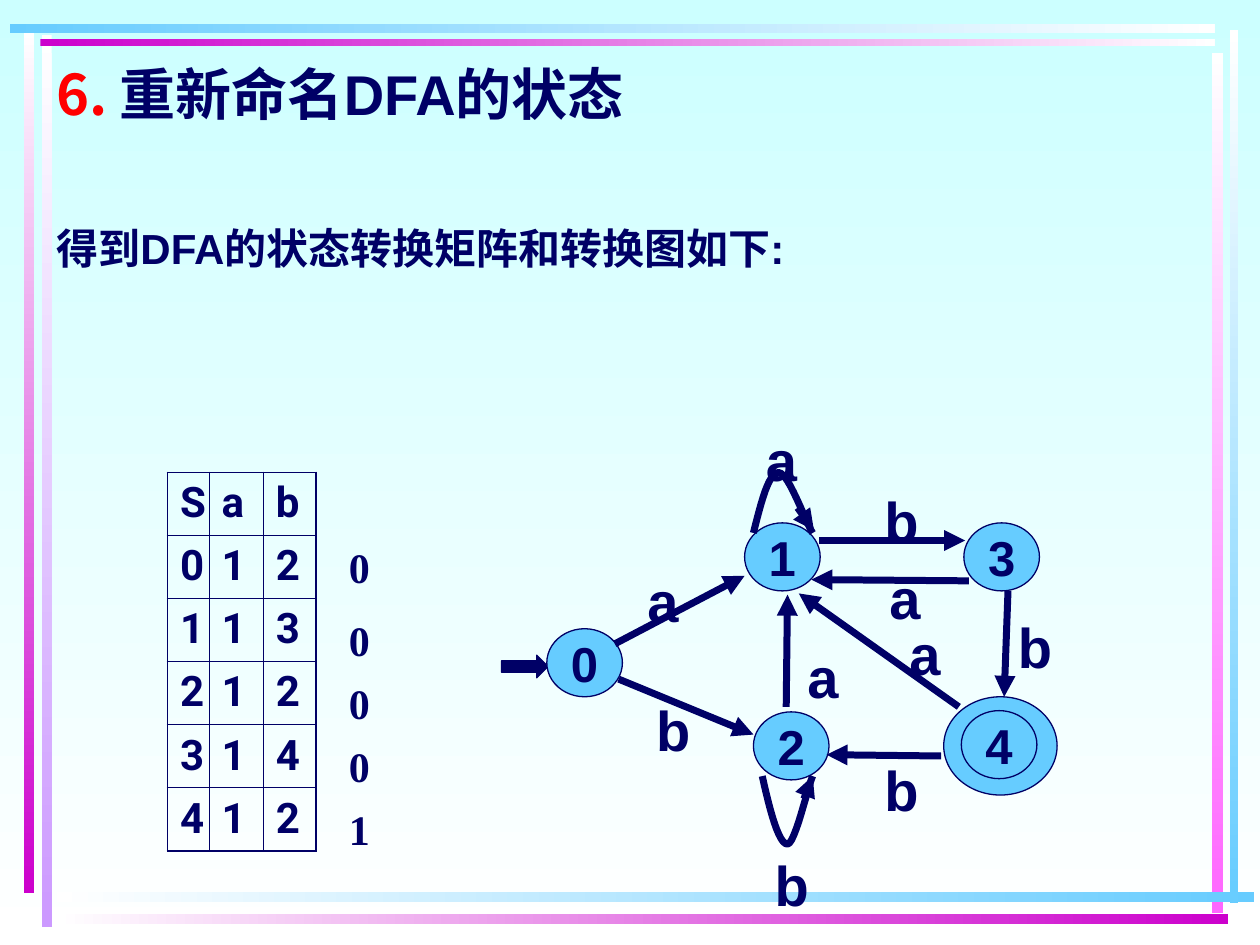
from dataclasses import dataclass

from lxml import etree
from pptx import Presentation
from pptx import util as u
from pptx.dml.color import RGBColor
from pptx.enum import shapes, text
from pptx.oxml import ns


@dataclass(frozen=True)
class Theme:
    """Hold the colours, fonts and sizes of the slide."""
    ink: str = "000066"
    sky: str = "66CCFF"
    plum: str = "CC00CC"
    lilac: str = "CC99FF"
    pink: str = "FF66FF"
    pale: str = "CCFFFF"
    white: str = "FFFFFF"
    red: str = "FF0000"
    sans: str = "Arial"
    grid: str = "Roboto"
    serif: str = "Times New Roman"
    head: int = 32
    node: int = 28
    body: int = 24
    edge: float = 4
    thin: float = 0.75
    rule: float = 0.45
    rim: float = 1.08


T = Theme()
ALIGN = text.PP_ALIGN

BARS = [
    (0.33, 0.28, 0.08, 7.08, T.white, T.lilac),
    (0.19, 0.25, 0.08, 6.84, T.white, T.plum),
    (9.76, 0.24, 0.07, 6.93, T.white, T.sky),
    (9.62, 0.42, 0.09, 6.83, T.white, T.pink),
    (0.45, 7.08, 9.5, 0.08, T.white, T.sky),
    (0.45, 7.25, 9.3, 0.08, T.white, T.plum),
    (0.32, 0.31, 9.32, 0.06, T.plum, T.white),
    (0.08, 0.19, 9.56, 0.07, T.sky, T.white),
]
ROWS = ["Sab", "012", "113", "212", "314", "412"]
FLAGS = [("0", 4.25), ("0", 4.83), ("0", 5.33), ("0", 5.83), ("1", 6.33)]
NODES = [("4", 7.63, 5.64), ("0", 4.34, 4.99), ("2", 5.98, 5.65),
         ("1", 5.91, 4.15), ("3", 7.65, 4.15)]
EDGES = [
    (4.88, 5.11, 5.91, 4.57), (4.91, 5.39, 5.98, 5.83),
    (6.5, 4.29, 7.66, 4.29), (7.69, 4.61, 6.44, 4.6),
    (7.47, 6, 6.56, 5.99), (8, 4.69, 7.97, 5.53),
    (7.61, 5.61, 6.34, 4.71), (6.24, 5.61, 6.25, 4.72),
    (6.33, 4.03, 6.46, 4.21), (6.38, 6.34, 6.45, 6.16),
]
LOOPS = [
    [(5.98, 4.23), (6.04, 3.99), (6.1, 3.75), (6.18, 3.75),
     (6.26, 3.75), (6.4, 4.16), (6.45, 4.23)],
    [(6.05, 6.16), (6.11, 6.43), (6.18, 6.7), (6.25, 6.7),
     (6.31, 6.7), (6.41, 6.25), (6.45, 6.16)],
]
MARKS = [("b", 6.92, 3.81), ("b", 7.98, 4.81), ("b", 6.92, 5.95),
         ("a", 7.12, 4.87), ("a", 6.31, 5.05), ("a", 5.04, 4.45),
         ("b", 5.11, 5.47), ("a", 5.98, 3.33), ("b", 6.05, 6.7),
         ("a", 6.96, 4.42)]


def rgb(code):
    """Turn a hex code into a colour."""
    return RGBColor.from_string(code)


def add(node, tag, **attrs):
    """Append a drawing element to an XML node."""
    return etree.SubElement(node, ns.qn(f"a:{tag}"), attrs)


def put(par, words, size=T.body, font=T.sans, align=ALIGN.LEFT, before=0):
    """Write bold text into a paragraph."""
    par.alignment = align
    if before:
        par.space_before = u.Pt(before)
    run = par.add_run()
    run.text = words
    run.font.size = u.Pt(size)
    run.font.name = font
    run.font.bold = True
    run.font.color.rgb = rgb(T.ink)


def fade(fill, first, last, angle):
    """Fill with a gradient between two colours."""
    fill.gradient()
    fill.gradient_angle = angle
    for stop, code, spot in zip(fill.gradient_stops, (first, last), (0, 1)):
        stop.color.rgb = rgb(code)
        stop.position = spot


def form(slide, kind, *box):
    """Add a preset shape without a shadow."""
    shape = slide.shapes.add_shape(kind, *map(u.Inches, box))
    shape.shadow.inherit = False
    return shape


def solid(slide, kind, *box, fill=T.sky):
    """Add a filled shape with a thin dark outline."""
    shape = form(slide, kind, *box)
    shape.fill.solid()
    shape.fill.fore_color.rgb = rgb(fill)
    shape.line.color.rgb = rgb(T.ink)
    shape.line.width = u.Pt(T.thin)
    return shape


def bar(slide, left, top, width, height, first, last):
    """Add a fading bar of the slide frame."""
    shape = form(slide, shapes.MSO_SHAPE.RECTANGLE, left, top, width, height)
    shape.line.fill.background()
    fade(shape.fill, first, last, 270 if height > width else 0)


def label(slide, *box):
    """Add a wrapping text box and return its frame."""
    frame = slide.shapes.add_textbox(*map(u.Inches, box)).text_frame
    frame.word_wrap = True
    return frame


def title(slide):
    """Add the numbered heading and the line below it."""
    frame = label(slide, 0.35, 0.42, 9.45, 1.84)
    head, lead = frame.paragraphs[0], frame.add_paragraph()
    for par in (head, lead):
        props = par._p.get_or_add_pPr()
        props.set("marL", str(u.Inches(0.5)))
        props.set("indent", str(u.Inches(-0.5)))
    props = head._p.get_or_add_pPr()
    add(add(props, "buClr"), "srgbClr", val=T.red)
    add(props, "buAutoNum", type="arabicPeriod", startAt="6")
    put(head, "重新命名DFA的状态", size=T.head)
    put(lead, "得到DFA的状态转换矩阵和转换图如下:", before=55)


def border(cell, sides):
    """Draw cell borders, thick where a side is on the rim."""
    props = cell._tc.get_or_add_tcPr()
    for at, (side, rim) in enumerate(sides.items()):
        line = etree.Element(ns.qn(f"a:ln{side}"),
                             w=str(u.Pt(T.rim if rim else T.rule)))
        add(add(line, "solidFill"), "srgbClr", val=T.ink)
        props.insert(at, line)


def matrix(slide):
    """Add the state transition table."""
    box = map(u.Inches, (1.33, 3.75, 1.18, 3))
    grid = slide.shapes.add_table(len(ROWS), 3, *box).table
    grid.first_row = grid.horz_banding = False
    for col, width in zip(grid.columns, (0.33, 0.43, 0.42)):
        col.width = u.Inches(width)
    for r, row in enumerate(ROWS):
        for c, sign in enumerate(row):
            cell = grid.cell(r, c)
            cell.fill.background()
            put(cell.text_frame.paragraphs[0], sign, font=T.grid,
                align=ALIGN.JUSTIFY if r else ALIGN.LEFT)
            border(cell, {"L": c == 0, "R": c == 2,
                          "T": r == 0, "B": r == len(ROWS) - 1})


def state(slide, name, left, top):
    """Add a round state with its number."""
    frame = solid(slide, shapes.MSO_SHAPE.OVAL, left, top, 0.6, 0.54).text_frame
    frame.word_wrap = False
    frame.vertical_anchor = text.MSO_ANCHOR.MIDDLE
    put(frame.paragraphs[0], name, size=T.node, align=ALIGN.CENTER)


def stroke(line):
    """Give a line the weight and colour of an edge."""
    line.color.rgb = rgb(T.ink)
    line.width = u.Pt(T.edge)


def arrow(slide, *ends):
    """Add a straight edge with an arrowhead."""
    link = slide.shapes.add_connector(shapes.MSO_CONNECTOR.STRAIGHT,
                                      *map(u.Inches, ends))
    stroke(link.line)
    add(link.line._get_or_add_ln(), "tailEnd", type="triangle")
    add(link._element.spPr, "effectLst")


def curve(a, b, c, d, steps=12):
    """List points along a cubic curve after its start."""
    for i in range(1, steps + 1):
        t = i / steps
        s = 1 - t
        yield tuple(u.Inches(s**3 * p + 3 * s * s * t * q + 3 * s * t * t * v + t**3 * w)
                    for p, q, v, w in zip(a, b, c, d))


def loop(slide, knots):
    """Add the open arc of an edge from a state to itself."""
    pen = slide.shapes.build_freeform(*map(u.Inches, knots[0]))
    for at in (0, 3):
        pen.add_line_segments(list(curve(*knots[at:at + 4])), close=False)
    arc = pen.convert_to_shape()
    arc.shadow.inherit = False
    arc.fill.background()
    stroke(arc.line)


def graph(slide):
    """Add the transition graph."""
    solid(slide, shapes.MSO_SHAPE.OVAL, 7.49, 5.53, 0.9, 0.78)
    solid(slide, shapes.MSO_SHAPE.RIGHT_ARROW, 3.98, 5.2, 0.37, 0.18, fill=T.ink)
    for node in NODES:
        state(slide, *node)
    for ends in EDGES:
        arrow(slide, *ends)
    for knots in LOOPS:
        loop(slide, knots)
    for sign, left, top in MARKS:
        put(label(slide, left, top, 0.4, 0.64).paragraphs[0], sign,
            size=T.head, align=ALIGN.CENTER)


def main():
    """Build and save the slide."""
    deck = Presentation()
    deck.slide_width, deck.slide_height = u.Inches(10), u.Inches(7.5)
    slide = deck.slides.add_slide(deck.slide_layouts[6])
    fade(slide.background.fill, T.pale, T.white, 270)
    for item in BARS:
        bar(slide, *item)
    title(slide)
    matrix(slide)
    graph(slide)
    for flag, top in FLAGS:
        put(label(slide, 2.67, top, 0.42, 0.5).paragraphs[0], flag, font=T.serif)
    deck.save("out.pptx")


if __name__ == "__main__":
    main()
